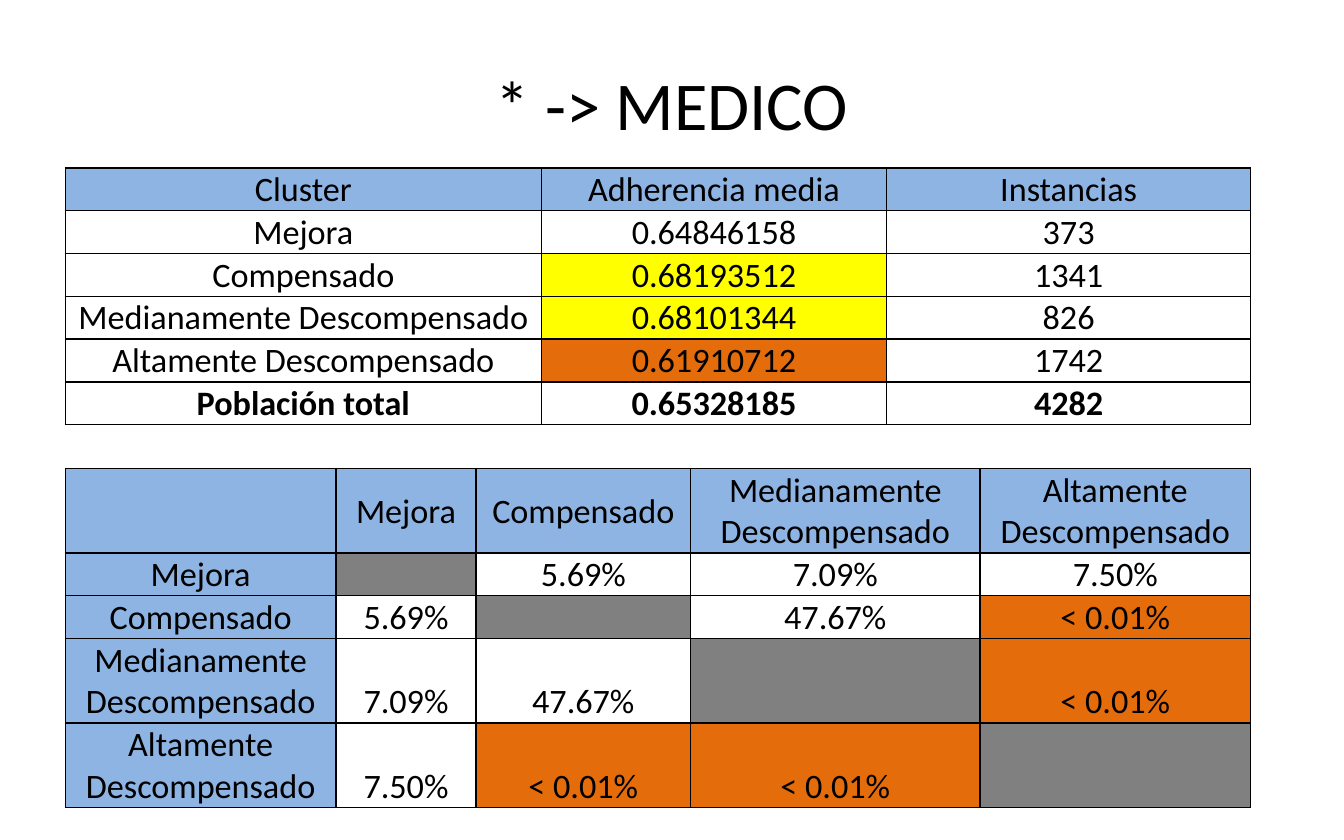
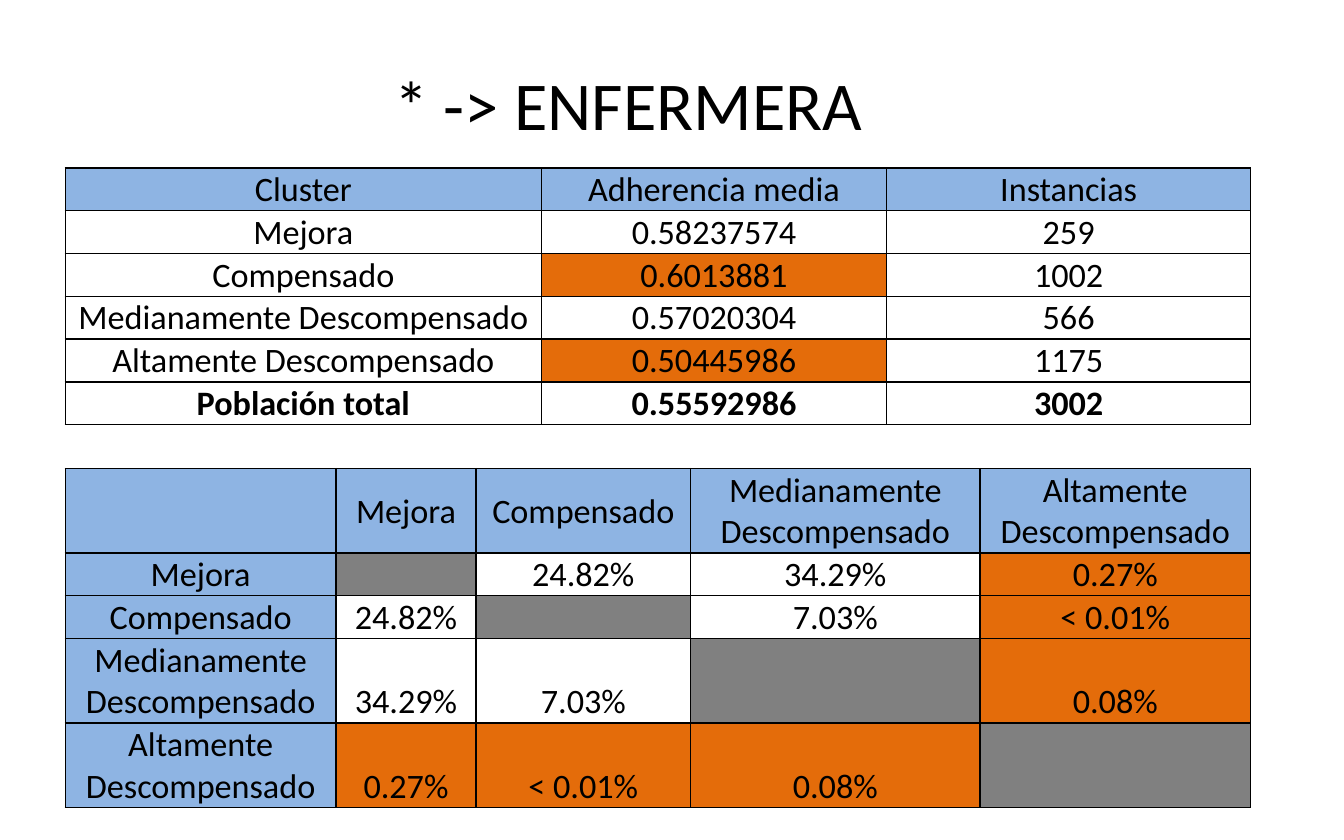
from dataclasses import dataclass

from lxml import etree
from pptx import Presentation
from pptx.dml.color import RGBColor
from pptx.enum.text import MSO_ANCHOR, PP_ALIGN
from pptx.oxml.ns import qn
from pptx.util import Inches, Pt

CENTER = PP_ALIGN.CENTER
MIDDLE, BOTTOM = MSO_ANCHOR.MIDDLE, MSO_ANCHOR.BOTTOM


@dataclass(frozen=True)
class Theme:
    """Colours, type sizes and line width of the deck."""
    font: str = "Calibri"
    ink: str = "000000"
    paper: str = "FFFFFF"
    header: str = "8EB4E3"
    diagonal: str = "808080"
    notable: str = "FFFF00"
    strong: str = "E46C0A"
    title_size: int = 44
    cell_size: int = 22
    border: int = 1


THEME = Theme()
UNIT = Inches(1 / 12)
GRID_COLS, GRID_ROWS = 144, 90
TITLE_BOX = (7.2, 3.6, 129.6, 15)
SUMMARY_BOX = (7, 18, 127, 27.1)
MATRIX_BOX = (7, 50.2, 127, 36)
SUMMARY_COLS = (51, 37, 39)
MATRIX_COLS = (29, 15, 23, 31, 29)
MATRIX_LINES = (2, 1, 1, 2, 2)
SIGNIFICANT = 5

CLUSTERS = ("Mejora", "Compensado", "Medianamente Descompensado",
            "Altamente Descompensado")
SUMMARY_HEADS = ("Cluster", "Adherencia media", "Instancias")

SLIDES = [
    {
        "title": "* -> MEDICO",
        "right_inset": 1.2,
        "means": ("0.64846158", "0.68193512", "0.68101344", "0.61910712",
                  "0.65328185"),
        "counts": ("373", "1341", "826", "1742", "4282"),
        "tones": {2: THEME.notable, 3: THEME.notable, 4: THEME.strong},
        "pairs": {(0, 1): "5.69%", (0, 2): "7.09%", (0, 3): "7.50%",
                  (1, 2): "47.67%", (1, 3): "< 0.01%", (2, 3): "< 0.01%"},
    },
    {
        "title": "* -> ENFERMERA",
        "right_inset": 10.5,
        "means": ("0.58237574", "0.6013881", "0.57020304", "0.50445986",
                  "0.55592986"),
        "counts": ("259", "1002", "566", "1175", "3002"),
        "tones": {2: THEME.strong, 4: THEME.strong},
        "pairs": {(0, 1): "24.82%", (0, 2): "34.29%", (0, 3): "0.27%",
                  (1, 2): "7.03%", (1, 3): "< 0.01%", (2, 3): "0.08%"},
    },
]


def grid(*lengths):
    """Turn grid steps into slide lengths."""
    return [int(n * UNIT) for n in lengths]


def set_attrs(obj, values):
    """Set several attributes of an object."""
    for name, value in values.items():
        setattr(obj, name, value)


def write(tf, text, size, bold=False):
    """Write one centred run in the deck's type."""
    p = tf.paragraphs[0]
    p.alignment = CENTER
    r = p.add_run()
    r.text = text
    set_attrs(r.font, {"name": THEME.font, "size": Pt(size), "bold": bold})
    r.font.color.rgb = RGBColor.from_string(THEME.ink)


def add_title(s, box, text, right_inset):
    """Place the slide title in its box."""
    sp = s.shapes.title
    set_attrs(sp, dict(zip(("left", "top", "width", "height"), grid(*box))))
    tf = sp.text_frame
    set_attrs(tf, {"word_wrap": True, "vertical_anchor": MIDDLE,
                   "margin_right": grid(right_inset)[0]})
    write(tf, text, THEME.title_size)


def add_borders(cell):
    """Draw a solid line on the four sides of a cell."""
    tc_pr = cell._tc.get_or_add_tcPr()
    for side in ("a:lnL", "a:lnR", "a:lnT", "a:lnB"):
        ln = etree.SubElement(tc_pr, qn(side), w=str(Pt(THEME.border)))
        fill = etree.SubElement(ln, qn("a:solidFill"))
        etree.SubElement(fill, qn("a:srgbClr"), val=THEME.ink)


def format_cell(cell, text, fill, anchor, bold=False):
    """Format one table cell and write its text."""
    edge = Inches(0.01)
    set_attrs(cell, {"margin_left": edge, "margin_right": edge,
                     "margin_top": edge, "margin_bottom": 0,
                     "vertical_anchor": anchor})
    add_borders(cell)
    cell.fill.solid()
    cell.fill.fore_color.rgb = RGBColor.from_string(fill)
    if text:
        write(cell.text_frame, text, THEME.cell_size, bold)


def add_grid_table(s, box, cols, lines):
    """Add a plain table whose rows share the box by their line counts."""
    table = s.shapes.add_table(len(lines), len(cols), *grid(*box)).table
    set_attrs(table, {"first_row": False, "horz_banding": False})
    for column, width in zip(table.columns, grid(*cols)):
        column.width = width
    for row, n in zip(table.rows, lines):
        row.height = grid(box[3] * n / sum(lines))[0]
    return table


def add_summary(s, box, means, counts, tones):
    """Tabulate mean adherence and instances of each cluster."""
    names = CLUSTERS + ("Población total",)
    rows = [SUMMARY_HEADS, *zip(names, means, counts)]
    table = add_grid_table(s, box, SUMMARY_COLS, [1] * len(rows))
    for i, row in enumerate(rows):
        for j, text in enumerate(row):
            fill = THEME.header if i == 0 else THEME.paper
            if j == 1:
                fill = tones.get(i, fill)
            anchor = MIDDLE if i == 0 or j == 0 else BOTTOM
            format_cell(table.cell(i, j), text, fill, anchor,
                        bold=i == len(rows) - 1)


def matrix_entry(i, j, pairs):
    """Return text, fill and anchor of one cell of the matrix."""
    if i == 0 or j == 0:
        return ("", *CLUSTERS)[i + j], THEME.header, MIDDLE
    if i == j:
        return "", THEME.diagonal, BOTTOM
    text = pairs[min(i, j) - 1, max(i, j) - 1]
    strong = float(text.strip("< %")) < SIGNIFICANT
    return text, THEME.strong if strong else THEME.paper, BOTTOM


def add_matrix(s, box, pairs):
    """Tabulate the symmetric comparison of the clusters."""
    table = add_grid_table(s, box, MATRIX_COLS, MATRIX_LINES)
    for i in range(len(MATRIX_LINES)):
        for j in range(len(MATRIX_COLS)):
            format_cell(table.cell(i, j), *matrix_entry(i, j, pairs))


def add_cluster_slide(prs, data):
    """Build one slide with title, summary and comparison matrix."""
    s = prs.slides.add_slide(prs.slide_layouts[5])
    add_title(s, TITLE_BOX, data["title"], data["right_inset"])
    add_matrix(s, MATRIX_BOX, data["pairs"])
    add_summary(s, SUMMARY_BOX, data["means"], data["counts"], data["tones"])


def main():
    """Build and save the deck."""
    prs = Presentation()
    prs.slide_width, prs.slide_height = grid(GRID_COLS, GRID_ROWS)
    for data in SLIDES:
        add_cluster_slide(prs, data)
    prs.save("out.pptx")


main()
